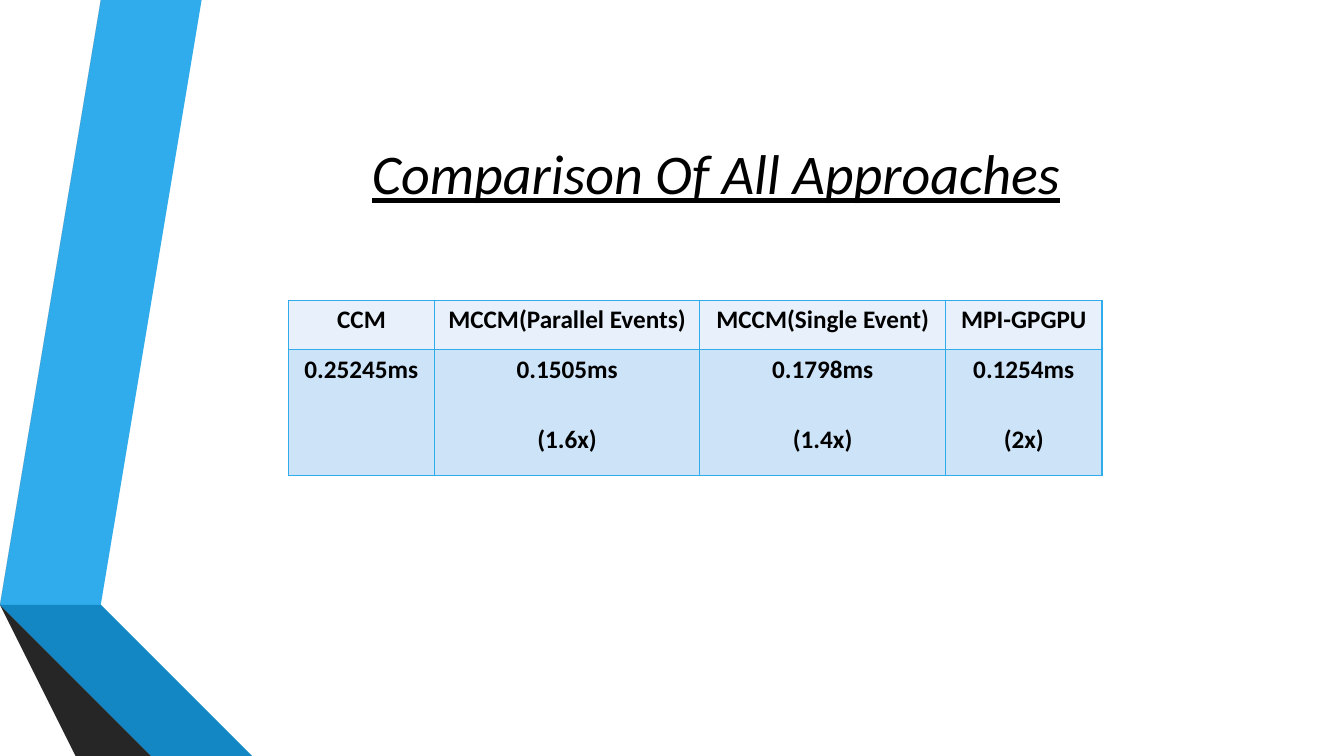
from lxml import etree
from pptx import Presentation, util as u
from pptx.dml.color import RGBColor
from pptx.enum import text
from pptx.oxml import ns


def paint(fill, color):
    fill.solid()
    fill.fore_color.rgb = RGBColor.from_string(color)


def add_border(cell, color, width):
    tcPr = cell._tc.get_or_add_tcPr()
    for side in ("lnL", "lnR", "lnT", "lnB"):
        ln = etree.SubElement(tcPr, ns.qn(f"a:{side}"), w=str(u.Pt(width)))
        solid = etree.SubElement(ln, ns.qn("a:solidFill"))
        etree.SubElement(solid, ns.qn("a:srgbClr"), val=color)


prs = Presentation()
prs.slide_width, prs.slide_height = u.Inches(13.33), u.Inches(7.5)
s = prs.slides.add_slide(prs.slide_layouts[5])

ribbons = [
    ("30ACEC", [(0.5, 5.78), (0.77, 5.83), (1.73, 0), (1.45, 0)]),
    ("595959", [(1.39, 0), (1.11, 0), (0.16, 5.73), (0.44, 5.77)]),
    ("262626", [(0.16, 5.73), (1.45, 7.5), (1.51, 7.5)]),
    ("0C5A82", [(0.5, 5.79), (2.08, 7.5), (2.14, 7.5)]),
    ("1287C3", [(0.5, 5.78), (2.14, 7.5), (2.83, 7.5), (0.77, 5.83)]),
    ("404040", [(2.02, 7.5), (0.48, 5.83), (0.44, 5.77), (0.16, 5.73), (1.51, 7.5)]),
]
for color, points in ribbons:
    outline = s.shapes.build_freeform(*points[0], scale=u.Inches(1))
    outline.add_line_segments(points[1:], close=True)
    sp = outline.convert_to_shape()
    sp.shadow.inherit = False
    paint(sp.fill, color)
    sp.line.fill.background()

title = s.shapes.title
title.left, title.top = u.Inches(1.62), u.Inches(0.75)
title.width, title.height = u.Inches(10.96), u.Inches(1.92)
tf = title.text_frame
tf.text = "Comparison Of All Approaches"
tf.auto_size = text.MSO_AUTO_SIZE.NONE
tf.vertical_anchor = text.MSO_ANCHOR.MIDDLE
p = tf.paragraphs[0]
p.alignment = text.PP_ALIGN.CENTER
p.font.name, p.font.size = "Calibri", u.Pt(40)
p.font.italic = p.font.underline = True
paint(p.font.fill, "000000")

rows = [
    ["CCM", "MCCM(Parallel Events)", "MCCM(Single Event)", "MPI-GPGPU"],
    ["0.25245ms", "0.1505ms\n(1.6x)", "0.1798ms\n(1.4x)", "0.1254ms\n(2x)"],
]
widths = [1.45, 2.63, 2.44, 1.55]
heights = [0.49, 1.25]
fills = ["E8F1FB", "CDE3F8"]
table = s.shapes.add_table(
    len(rows), len(widths), u.Inches(2.86), u.Inches(2.98),
    u.Inches(sum(widths)), u.Inches(sum(heights))).table
table.first_row = table.horz_banding = False
for column, width in zip(table.columns, widths):
    column.width = u.Inches(width)

for row, height, values, color in zip(table.rows, heights, rows, fills):
    row.height = u.Inches(height)
    for cell, value in zip(row.cells, values):
        add_border(cell, "30ACEC", 1)
        paint(cell.fill, color)
        cell.margin_left = cell.margin_right = u.Inches(0.07)
        cell.margin_top = cell.margin_bottom = 0
        cell.text_frame.text = value
        for i, p in enumerate(cell.text_frame.paragraphs):
            p.alignment = text.PP_ALIGN.CENTER
            p.line_spacing = 1.15
            p.space_before = u.Pt(25 * i)
            p.font.name, p.font.size, p.font.bold = "Calibri", u.Pt(18), True
            paint(p.font.fill, "000000")

prs.save("out.pptx")
